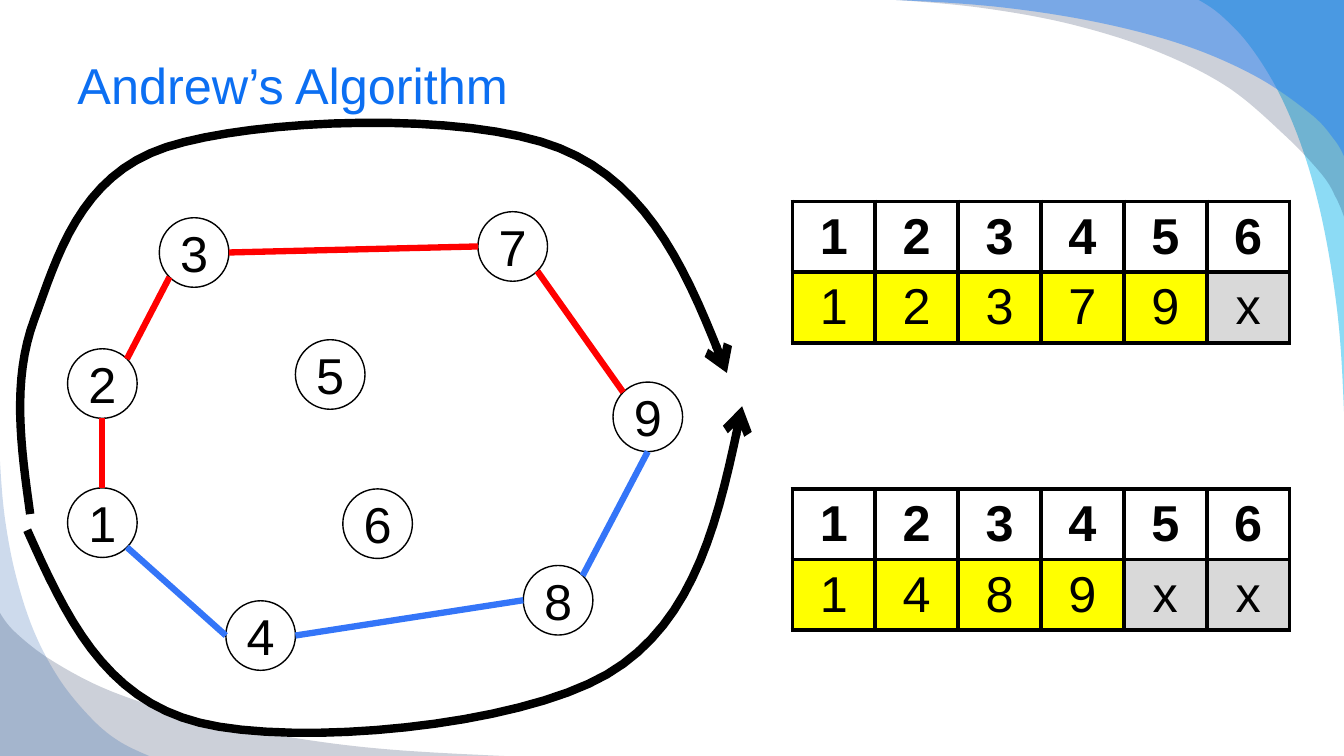
import math
from dataclasses import dataclass
from enum import Enum

import pptx
import pptx.dml.color
import pptx.enum.shapes
import pptx.enum.text
import pptx.oxml
import pptx.oxml.ns
import pptx.util
from pptx.dml.color import RGBColor
from pptx.util import Inches

BLACK = RGBColor(0x00, 0x00, 0x00)
WHITE = RGBColor(0xFF, 0xFF, 0xFF)
YELLOW = RGBColor(0xFF, 0xFF, 0x00)
GRAY = RGBColor(0xD9, 0xD9, 0xD9)
RED = RGBColor(0xFF, 0x00, 0x00)
EDGE_BLUE = RGBColor(0x34, 0x75, 0xF8)
TITLE_BLUE = RGBColor(0x0C, 0x6F, 0xF2)
CYAN = RGBColor(0x00, 0xB1, 0xE9)
NAVY = RGBColor(0x02, 0x17, 0x41)
SKY_BLUE = RGBColor(0x24, 0x7F, 0xF4)
DEEP_BLUE = RGBColor(0x08, 0x4A, 0xA1)

WIDTH, HEIGHT = 13.33, 7.5
DIAMETER = 0.69
CURVE_STEPS = 16
Point = tuple[float, float]


class Site(Enum):
    RIGHT = 0
    BOTTOM_RIGHT = 45
    BOTTOM = 90
    BOTTOM_LEFT = 135
    LEFT = 180
    TOP_LEFT = 225
    TOP = 270
    TOP_RIGHT = 315


@dataclass(frozen=True)
class Swoosh:
    corner: Point
    curve: list[Point]
    color: RGBColor
    opacity: int


@dataclass(frozen=True)
class Node:
    label: str
    left: float
    top: float

    def site(self, site: Site) -> Point:
        angle = math.radians(site.value)
        radius = DIAMETER / 2
        return (self.left + radius * (1 + math.cos(angle)),
                self.top + radius * (1 + math.sin(angle)))


@dataclass(frozen=True)
class Edge:
    start: str
    start_site: Site
    end: str
    end_site: Site
    color: RGBColor


@dataclass(frozen=True)
class HullTable:
    top: float
    values: str


SWOOSHES = [
    Swoosh((WIDTH, 0), [(11.89, 0), (12.12, 0.16), (12.4, 0.46), (12.69, 0.93), (12.94, 1.54),
                        (13.13, 2.26), (13.27, 3.15), (13.33, 4.08)], CYAN, 45),
    Swoosh((WIDTH, 0), [(8.89, 0), (9.75, 0.08), (10.62, 0.24), (11.45, 0.5), (12.17, 0.86),
                        (12.74, 1.34), (13.11, 1.73), (13.25, 1.96), (13.33, 2.15)], NAVY, 20),
    Swoosh((WIDTH, 0), [(8.89, 0), (9.91, 0.07), (10.88, 0.22), (11.75, 0.45), (12.46, 0.76),
                        (13, 1.13), (13.23, 1.38), (13.33, 1.55)], SKY_BLUE, 49),
    Swoosh((0, HEIGHT), [(0, 6.08), (0.16, 6.28), (0.51, 6.55), (1.06, 6.84), (1.78, 7.08),
                         (2.62, 7.27), (3.69, 7.42), (5, 7.5)], NAVY, 20),
    Swoosh((0, HEIGHT), [(0, 4.58), (0.05, 5.15), (0.16, 5.72), (0.34, 6.27), (0.59, 6.74),
                         (0.89, 7.11), (1.16, 7.34), (1.48, 7.5)], DEEP_BLUE, 20),
]
NODES = [
    Node("3", 1.58, 2.16), Node("9", 6.08, 3.79), Node("1", 0.67, 4.84),
    Node("6", 3.4, 4.85), Node("8", 5.19, 5.61), Node("2", 0.67, 3.46),
    Node("4", 2.24, 5.96), Node("7", 4.74, 2.1), Node("5", 2.93, 3.37),
]
EDGES = [
    Edge("1", Site.TOP, "2", Site.BOTTOM, RED),
    Edge("2", Site.TOP_RIGHT, "3", Site.BOTTOM_LEFT, RED),
    Edge("3", Site.RIGHT, "7", Site.LEFT, RED),
    Edge("7", Site.BOTTOM_RIGHT, "9", Site.TOP_LEFT, RED),
    Edge("1", Site.BOTTOM_RIGHT, "4", Site.LEFT, EDGE_BLUE),
    Edge("8", Site.LEFT, "4", Site.RIGHT, EDGE_BLUE),
    Edge("8", Site.TOP_RIGHT, "9", Site.BOTTOM, EDGE_BLUE),
]
TABLES = [HullTable(2, "12379x"), HullTable(4.85, "1489xx")]
SWEEPS = [
    [(0.3, 5.1), (0.34, 3.17), (1.65, 1.46), (5.55, 1.47), (7.21, 3.7)],
    [(0.27, 5.26), (1.98, 7.17), (6.02, 6.69), (7.36, 4.03)],
]


def midpoint(first: Point, second: Point) -> Point:
    return (first[0] + second[0]) / 2, (first[1] + second[1]) / 2


def smooth_curve(points: list[Point]) -> list[Point]:
    tangents = [((after[0] - before[0]) / 6, (after[1] - before[1]) / 6)
                for before, after in zip(points, points[2:])]
    entering = [(x - dx, y - dy) for (x, y), (dx, dy) in zip(points[1:], tangents)]
    leaving = [(x + dx, y + dy) for (x, y), (dx, dy) in zip(points[1:], tangents)]
    leaving.insert(0, midpoint(points[0], entering[0]))
    entering.append(midpoint(leaving[-1], points[-1]))
    curve = [points[0]]
    for controls in zip(points, leaving, entering, points[1:]):
        for step in range(1, CURVE_STEPS + 1):
            t = step / CURVE_STEPS
            weights = ((1 - t) ** 3, 3 * t * (1 - t) ** 2, 3 * t * t * (1 - t), t ** 3)
            curve.append((sum(w * c[0] for w, c in zip(weights, controls)),
                          sum(w * c[1] for w, c in zip(weights, controls))))
    return curve


def add_outline(slide, points: list[Point], close: bool):
    vertices = [(Inches(x), Inches(y)) for x, y in points]
    builder = slide.shapes.build_freeform(*vertices[0])
    builder.add_line_segments(vertices[1:], close=close)
    shape = builder.convert_to_shape()
    shape.shadow.inherit = False
    return shape


def add_xml(parent, tag: str, **attributes: str):
    child = pptx.oxml.parse_xml(f'<a:{tag} {pptx.oxml.ns.nsdecls("a")}/>')
    for name, value in attributes.items():
        child.set(name, value)
    parent.append(child)
    return child


def add_swoosh(slide, swoosh: Swoosh) -> None:
    shape = add_outline(slide, [swoosh.corner, *smooth_curve(swoosh.curve)], True)
    shape.fill.solid()
    shape.fill.fore_color.rgb = swoosh.color
    shape.line.fill.background()
    color = shape.fill._xPr.find(".//" + pptx.oxml.ns.qn("a:srgbClr"))
    add_xml(color, "alpha", val=str(swoosh.opacity * 1000))


def add_sweep(slide, waypoints: list[Point]) -> None:
    shape = add_outline(slide, smooth_curve(waypoints), False)
    shape.fill.background()
    shape.line.color.rgb = BLACK
    shape.line.width = pptx.util.Pt(6)
    add_xml(shape.line._get_or_add_ln(), "tailEnd", type="arrow")


def write(text_frame, text: str, color: RGBColor = BLACK, bold: bool = False,
          alignment=pptx.enum.text.PP_ALIGN.CENTER) -> None:
    text_frame.text = text
    paragraph = text_frame.paragraphs[0]
    paragraph.alignment = alignment
    font = paragraph.runs[0].font
    font.name, font.size, font.bold = "Arial", pptx.util.Pt(36), bold
    font.color.rgb = color


def add_title(slide) -> None:
    box = slide.shapes.add_textbox(Inches(0.67), Inches(0.33), Inches(12), Inches(1.01))
    box.text_frame.word_wrap = True
    box.text_frame.vertical_anchor = pptx.enum.text.MSO_ANCHOR.MIDDLE
    write(box.text_frame, "Andrew’s Algorithm", TITLE_BLUE,
          alignment=pptx.enum.text.PP_ALIGN.LEFT)


def add_node(slide, node: Node) -> None:
    shape = slide.shapes.add_shape(pptx.enum.shapes.MSO_SHAPE.OVAL, Inches(node.left),
                                   Inches(node.top), Inches(DIAMETER), Inches(DIAMETER))
    shape.shadow.inherit = False
    shape.fill.solid()
    shape.fill.fore_color.rgb = WHITE
    shape.line.color.rgb = BLACK
    shape.line.width = pptx.util.Pt(1)
    shape.text_frame.vertical_anchor = pptx.enum.text.MSO_ANCHOR.MIDDLE
    write(shape.text_frame, node.label)


def add_edge(slide, edge: Edge, nodes: dict[str, Node]) -> None:
    ends = (*nodes[edge.start].site(edge.start_site), *nodes[edge.end].site(edge.end_site))
    connector = slide.shapes.add_connector(pptx.enum.shapes.MSO_CONNECTOR.STRAIGHT,
                                           *(Inches(value) for value in ends))
    connector.line.color.rgb = edge.color
    connector.line.width = pptx.util.Pt(4.5)
    add_xml(connector._element.spPr, "effectLst")


def add_hull_table(slide, hull: HullTable) -> None:
    rows = ["123456", hull.values]
    table = slide.shapes.add_table(len(rows), len(rows[0]), Inches(7.86), Inches(hull.top),
                                   Inches(4.93), Inches(1.39)).table
    table.first_row = table.horz_banding = False
    for row_index, row in enumerate(rows):
        for column_index, text in enumerate(row):
            cell = table.cell(row_index, column_index)
            write(cell.text_frame, text, bold=row_index == 0)
            cell.vertical_anchor = pptx.enum.text.MSO_ANCHOR.MIDDLE
            for side in ("lnL", "lnR", "lnT", "lnB"):
                border = add_xml(cell._tc.get_or_add_tcPr(), side, w=str(pptx.util.Pt(3)))
                add_xml(add_xml(border, "solidFill"), "srgbClr", val=str(BLACK))
            cell.fill.solid()
            cell.fill.fore_color.rgb = WHITE if row_index == 0 else GRAY if text == "x" else YELLOW


def main() -> None:
    presentation = pptx.Presentation()
    presentation.slide_width, presentation.slide_height = Inches(WIDTH), Inches(HEIGHT)
    slide = presentation.slides.add_slide(presentation.slide_layouts[6])
    for swoosh in SWOOSHES:
        add_swoosh(slide, swoosh)
    add_title(slide)
    for node in NODES:
        add_node(slide, node)
    for hull in TABLES:
        add_hull_table(slide, hull)
    nodes = {node.label: node for node in NODES}
    for edge in EDGES:
        add_edge(slide, edge, nodes)
    for waypoints in SWEEPS:
        add_sweep(slide, waypoints)
    presentation.save("out.pptx")


if __name__ == "__main__":
    main()
